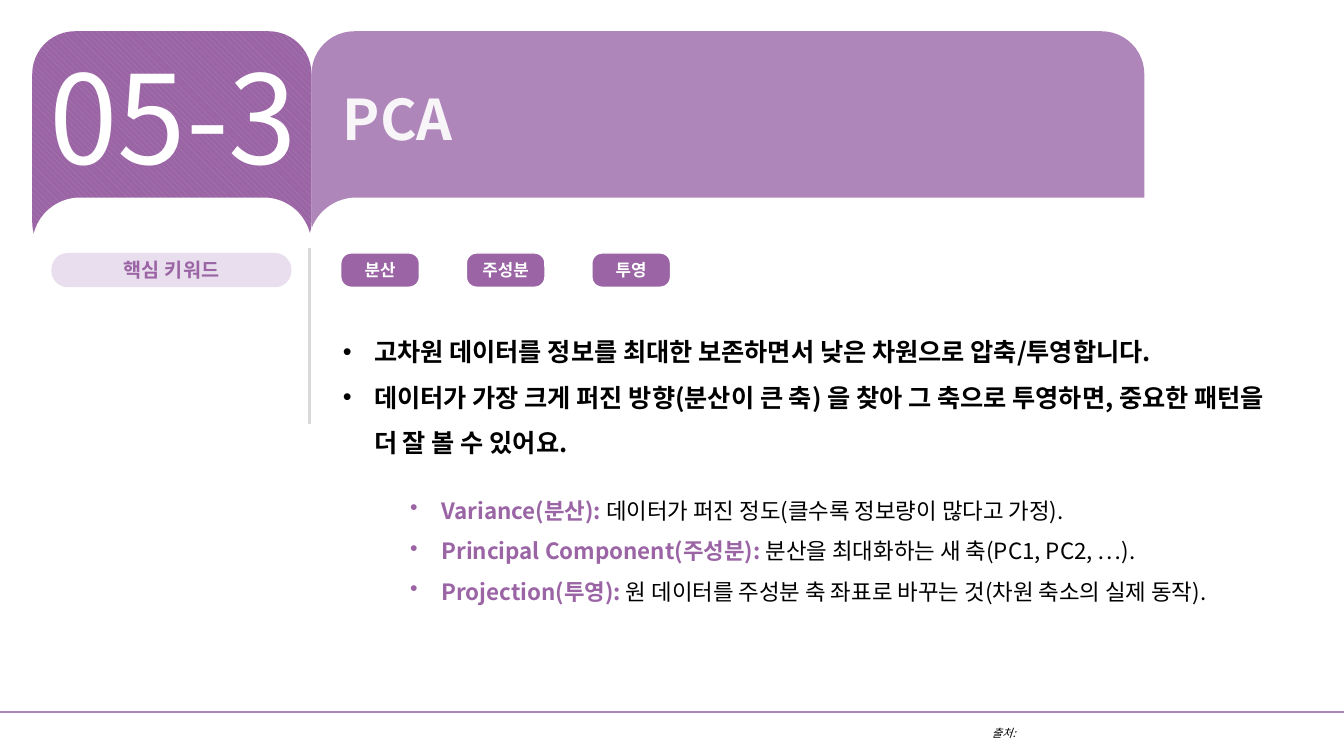
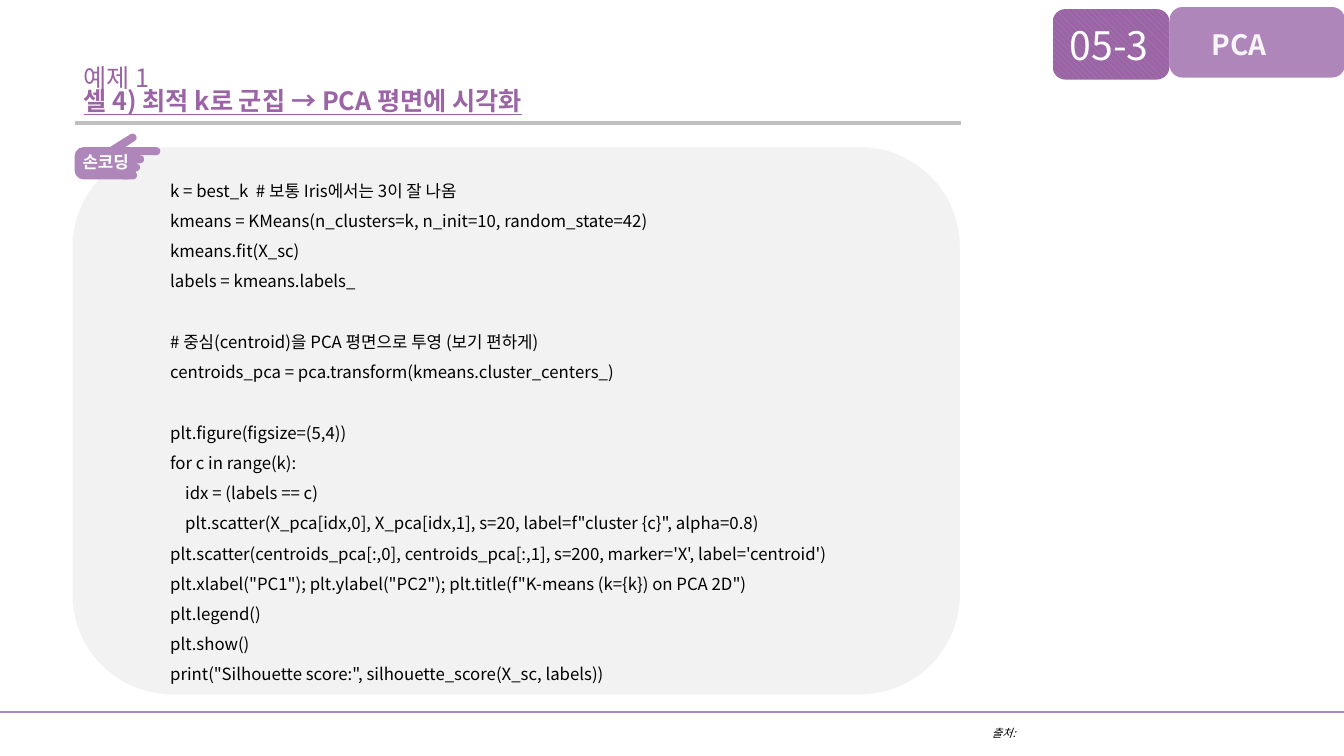
from lxml import etree
from pptx import Presentation
from pptx.dml.color import RGBColor
from pptx.enum.dml import MSO_PATTERN
from pptx.enum.shapes import MSO_CONNECTOR, MSO_SHAPE
from pptx.enum.text import MSO_ANCHOR, MSO_AUTO_SIZE, PP_ALIGN
from pptx.oxml.ns import qn
from pptx.util import Inches, Pt

FONT = "Noto Sans CJK KR"
PURPLE, LILAC, PALE = "9A64A5", "AF86BA", "E8DEED"
WHITE, BLACK, TITLE = "FFFFFF", "000000", "F8F5F9"
FOOT_LINE, DIVIDER, RULE, PANEL = "AF85B9", "D9D9D9", "BFBFBF", "F2F2F2"
BAND_ROUND = 0.183
SECTION, TOPIC = "05-3", "PCA"

KEYWORDS = ["분산", "주성분", "투영"]
SUMMARY = [
    "고차원 데이터를 정보를 최대한 보존하면서 낮은 차원으로 압축/투영합니다.",
    "데이터가 가장 크게 퍼진 방향(분산이 큰 축) 을 찾아 그 축으로 투영하면, "
    "중요한 패턴을 더 잘 볼 수 있어요.",
]
TERMS = [
    ("Variance(분산): ", "데이터가 퍼진 정도(클수록 정보량이 많다고 가정)."),
    ("Principal Component(주성분): ", "분산을 최대화하는 새 축(PC1, PC2, …)."),
    ("Projection(투영): ", "원 데이터를 주성분 축 좌표로 바꾸는 것(차원 축소의 실제 동작)."),
]
CODE_BLOCKS = [
    """k = best_k  # 보통 Iris에서는 3이 잘 나옴
kmeans = KMeans(n_clusters=k, n_init=10, random_state=42)
kmeans.fit(X_sc)
labels = kmeans.labels_""",
    """# 중심(centroid)을 PCA 평면으로 투영 (보기 편하게)
centroids_pca = pca.transform(kmeans.cluster_centers_)""",
    """plt.figure(figsize=(5,4))
for c in range(k):
    idx = (labels == c)
    plt.scatter(X_pca[idx,0], X_pca[idx,1], s=20, label=f"cluster {c}", alpha=0.8)
plt.scatter(centroids_pca[:,0], centroids_pca[:,1], s=200, marker='X', label='centroid')
plt.xlabel("PC1"); plt.ylabel("PC2"); plt.title(f"K-means (k={k}) on PCA 2D")
plt.legend()
plt.show()
print("Silhouette score:", silhouette_score(X_sc, labels))""",
]


def rgb(color):
    return RGBColor.from_string(color)


def set_font(font, size, color, bold=False, italic=False, underline=False, name=FONT):
    font.size, font.bold, font.italic, font.underline = Pt(size), bold, italic, underline
    font.color.rgb = rgb(color)
    font.name = name
    latin = font._element.find(qn("a:latin"))
    ea = etree.Element(qn("a:ea"), typeface=name)
    latin.addnext(ea)


def fill_text(sp, paragraphs, size, color, spacing=1.0, align=PP_ALIGN.LEFT, **style):
    """Write one formatted paragraph per string and return the paragraphs."""
    tf = sp.text_frame
    for i, text in enumerate(paragraphs):
        p = tf.paragraphs[0] if i == 0 else tf.add_paragraph()
        p.text = text
        p.alignment, p.line_spacing = align, spacing
        p.space_before = p.space_after = Pt(0)
        set_font(p.font, size, color, **style)
    return tf.paragraphs


def add_text(s, box, paragraphs, size, color, wrap=True, **style):
    sp = s.shapes.add_textbox(*map(Inches, box))
    sp.text_frame.word_wrap = wrap
    return fill_text(sp, paragraphs, size, color, **style)


def fill_placeholder(s, ph, box, paragraphs, size, color, **style):
    """Move a placeholder to its box, in front of what is drawn so far."""
    s.shapes._spTree.append(ph._element)
    ph.left, ph.top, ph.width, ph.height = map(Inches, box)
    tf = ph.text_frame
    tf.word_wrap, tf.auto_size = True, MSO_AUTO_SIZE.NONE
    tf.vertical_anchor = MSO_ANCHOR.TOP
    return fill_text(ph, paragraphs, size, color, **style)


def add_bullets(paragraphs):
    for p in paragraphs:
        pPr = p._p.get_or_add_pPr()
        pPr.set("marL", str(Inches(0.31)))
        pPr.set("indent", str(-Inches(0.31)))
        bullet = etree.Element(qn("a:buChar"), char="•")
        pPr.find(qn("a:defRPr")).addprevious(bullet)


def add_round(shapes, box, fill, adj, line=None):
    sp = shapes.add_shape(MSO_SHAPE.ROUNDED_RECTANGLE, *map(Inches, box))
    sp.shadow.inherit = False
    sp.adjustments[0] = adj
    sp.fill.solid()
    sp.fill.fore_color.rgb = rgb(fill)
    if line:
        sp.line.color.rgb, sp.line.width = rgb(line), Pt(1)
    else:
        sp.line.fill.background()
    return sp


def add_hatched(s, box):
    fill = add_round(s.shapes, box, PURPLE, BAND_ROUND).fill
    fill.patterned()
    fill.pattern = MSO_PATTERN.WIDE_DOWNWARD_DIAGONAL
    fill.fore_color.rgb, fill.back_color.rgb = rgb(LILAC), rgb(PURPLE)


def add_pill(s, box, text, size, fill, color, adj, line=None, **style):
    sp = add_round(s.shapes, box, fill, adj, line)
    sp.text_frame.vertical_anchor = MSO_ANCHOR.MIDDLE
    fill_text(sp, [text], size, color, align=PP_ALIGN.CENTER, bold=True, **style)


def add_line(s, x1, y1, x2, y2, color, width):
    c = s.shapes.add_connector(MSO_CONNECTOR.STRAIGHT, *map(Inches, (x1, y1, x2, y2)))
    c.line.color.rgb, c.line.width = rgb(color), Pt(width)
    etree.SubElement(c._element.spPr, qn("a:effectLst"))


def add_footer(s):
    add_text(s, (9.74, 7.16, 3.6, 0.24), ["출처:"], 8, BLACK, italic=True)
    add_line(s, 0, 7.06, 13.33, 7.06, FOOT_LINE, 1.5)


def add_pointing_hand(s):
    hand = s.shapes.add_group_shape().shapes
    add_round(hand, (0.74, 1.46, 0.61, 0.32), LILAC, 0.273)
    fingers = [(1.19, 0.4), (1.17, 0.26), (1.19, 0.2), (1.19, 0.17)]
    for i, (x, length) in enumerate(fingers):
        add_round(hand, (x, 1.46 + 0.08 * i, length, 0.08), LILAC, 0.5)
    thumb = add_round(hand, (0.98, 1.41, 0.4, 0.08), LILAC, 0.5)
    thumb.rotation = 327.9
    add_text(s, (0.72, 1.46, 0.71, 0.3), ["손코딩"], 12, WHITE, wrap=False, bold=True)


def build_concept(prs):
    s = prs.slides.add_slide(prs.slide_layouts[1])
    title, body = s.placeholders
    add_hatched(s, (0.32, 0.31, 2.77, 2.32))
    add_round(s.shapes, (3.09, 0.31, 8.26, 2.32), LILAC, BAND_ROUND)
    for x, width in [(0.32, 2.77), (3.06, 8.89)]:
        add_round(s.shapes, (x, 1.96, width, 1.86), WHITE, 0.256)

    add_pill(s, (0.51, 2.51, 2.38, 0.34), "핵심 키워드", 14, PALE, PURPLE, 0.478, name="Arial")
    add_line(s, 3.07, 2.46, 3.07, 4.21, DIVIDER, 1.5)
    for i, keyword in enumerate(KEYWORDS):
        box = (3.38 + 1.245 * i, 2.51, 0.78, 0.34)
        add_pill(s, box, keyword, 12, PURPLE, WHITE, 0.299, line=WHITE)
    add_footer(s)

    add_text(s, (0.39, 0.36, 2.75, 1.58), [SECTION], 88, WHITE, wrap=False)
    fill_placeholder(s, title, (3.3, 0.79, 7.8, 0.77), [TOPIC], 40, TITLE, bold=True)
    add_bullets(fill_placeholder(s, body, (3.3, 3.14, 9.52, 1.41), SUMMARY, 18, BLACK,
                                 spacing=1.5, bold=True))
    terms = add_text(s, (3.97, 4.75, 9.1, 1.26), [term for term, _ in TERMS], 16, PURPLE,
                     spacing=1.5, bold=True)
    add_bullets(terms)
    for p, (_, meaning) in zip(terms, TERMS):
        r = p.add_run()
        r.text = meaning
        set_font(r.font, 16, BLACK)


def build_example(prs):
    s = prs.slides.add_slide(prs.slide_layouts[5])
    add_text(s, (0.73, 0.42, 8.39, 0.5), ["예제 1"], 18, PURPLE, spacing=1.5)
    fill_placeholder(s, s.shapes.title, (0.73, 0.8, 8.39, 0.4),
                     ["셀 4) 최적 k로 군집 → PCA 평면에 시각화"], 18, PURPLE,
                     bold=True, underline=True)
    add_footer(s)

    add_round(s.shapes, (0.72, 1.46, 8.8, 5.43), PANEL, BAND_ROUND)
    add_pointing_hand(s)
    blocks = [block.split("\n") for block in CODE_BLOCKS]
    lines = add_text(s, (1.59, 1.64, 7.26, 5.21), sum(blocks, []), 12, BLACK, spacing=1.5)
    start = 0
    for block in blocks[:-1]:
        start += len(block)
        lines[start].space_before = Pt(21.6)

    add_line(s, 0.74, 1.22, 9.53, 1.22, RULE, 2.25)
    add_hatched(s, (10.44, 0.09, 1.16, 0.7))
    add_round(s.shapes, (11.6, 0.07, 1.74, 0.7), LILAC, BAND_ROUND)
    add_text(s, (10.51, 0.16, 1.09, 0.57), [SECTION], 28, WHITE)
    add_text(s, (11.92, 0.22, 1.21, 0.44), [TOPIC], 20, TITLE, bold=True)


def main():
    prs = Presentation()
    prs.slide_width, prs.slide_height = Inches(13.33), Inches(7.5)
    build_concept(prs)
    build_example(prs)
    prs.save("out.pptx")


if __name__ == "__main__":
    main()
